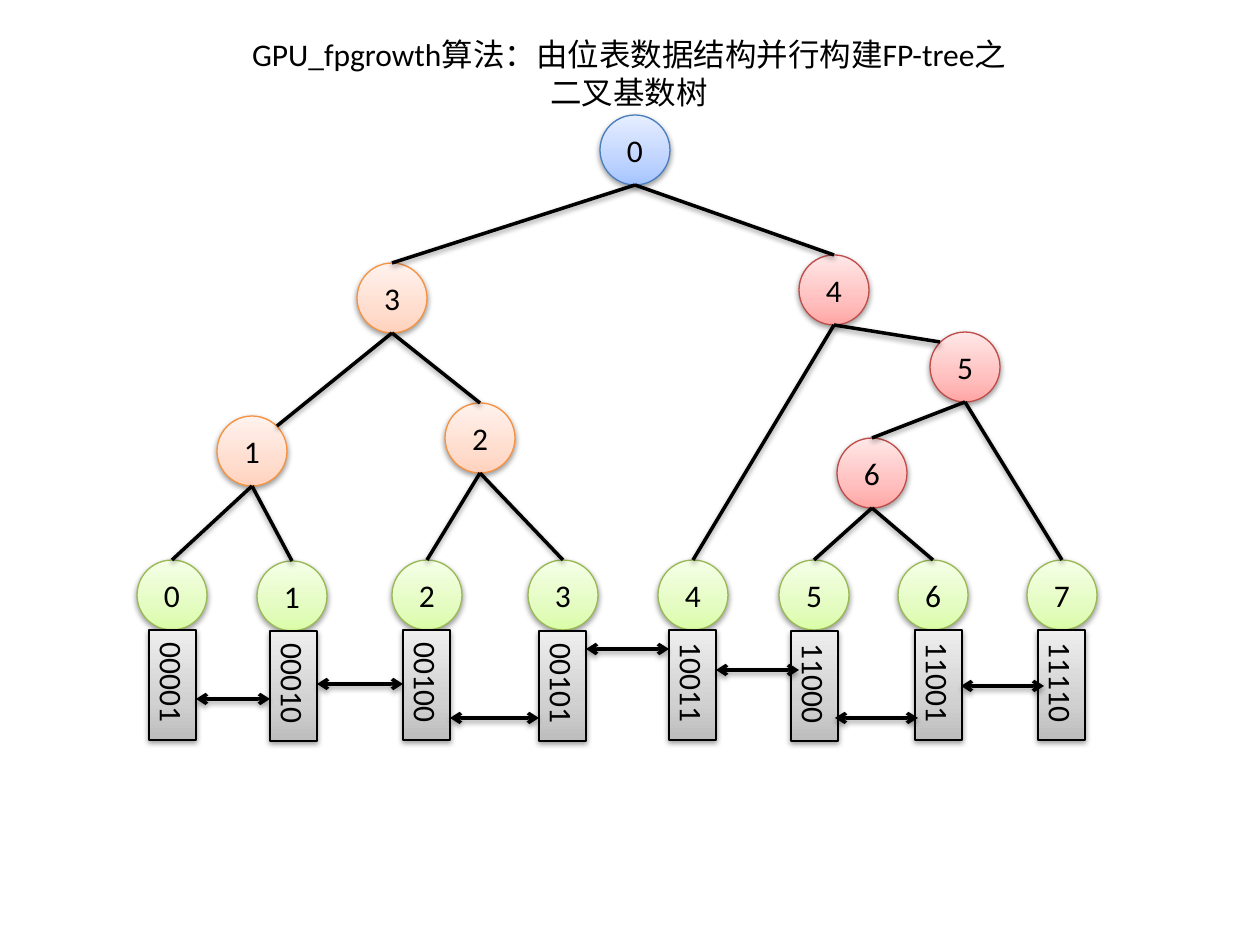
import copy
import pptx
import pptx.util
import pptx.dml.color
import pptx.enum.shapes
import pptx.enum.text
from lxml import etree
from pptx.oxml.ns import qn

PX = 914400 / 126
SHAPE = pptx.enum.shapes.MSO_SHAPE
RGB = pptx.dml.color.RGBColor.from_string

# Gradient stops from bottom to top, then the outline
THEME = {
    "font": "Calibri", "size": 18, "ink": "000000", "edge": 2, "outline": 0.75,
    "root": ("A4C4FF", "BFD4FF", "E6EEFF", "4B7EBC"),
    "left": ("FFD2BD", "FFDED0", "FFF2ED", "F69240"),
    "right": ("FFA6A5", "FFC0BF", "FFE7E7", "BF4C48"),
    "leaf": ("DAFDA7", "E4FCC2", "F5FFE7", "98B955"),
    "code": ("BDBDBD", "D1D1D1", "EEEEEE", "000000"),
}
SIZE = 70

prs = pptx.Presentation()
prs.slide_width, prs.slide_height = int(1260 * PX), int(945 * PX)
s = prs.slides.add_slide(prs.slide_layouts[6])


def finish(sp, text=None):
    """Give a shape or connector its soft shadow, and a text line if any."""
    spPr = sp._element.spPr
    effects = spPr.find(qn("a:effectLst"))
    if effects is None:
        effects = etree.SubElement(spPr, qn("a:effectLst"))
    shadow = etree.SubElement(effects, qn("a:outerShdw"), blurRad="40000",
                              dist="20000", dir="5400000", rotWithShape="0")
    color = etree.SubElement(shadow, qn("a:srgbClr"), val=THEME["ink"])
    etree.SubElement(color, qn("a:alpha"), val="38000")
    if text:
        write(sp.text_frame.paragraphs[0], text)


def write(p, text):
    p.alignment = pptx.enum.text.PP_ALIGN.CENTER
    r = p.add_run()
    r.text = text
    r.font.name = THEME["font"]
    r.font.size = pptx.util.Pt(THEME["size"])
    r.font.color.rgb = RGB(THEME["ink"])


# Title
sp = s.shapes.add_textbox(*(int(v * PX) for v in (54, 29, 1150, 89)))
tf = sp.text_frame
tf.word_wrap = True
write(tf.paragraphs[0], "GPU_fpgrowth算法：由位表数据结构并行构建FP-tree之")
write(tf.add_paragraph(), "二叉基数树")

# Tree nodes: key -> kind, label, left, top
nodes = {
    "root": ("root", "0", 600, 115),
    "n1": ("left", "1", 217, 416),
    "n2": ("left", "2", 445, 403),
    "n3": ("left", "3", 357, 263),
    "n4": ("right", "4", 799, 255),
    "n5": ("right", "5", 930, 332),
    "n6": ("right", "6", 837, 438),
}
for i, x in enumerate((137, 257, 392, 528, 658, 779, 898, 1027)):
    nodes[f"leaf{i}"] = ("leaf", str(i), x, 561 if i == 1 else 560)

# Bit codes below the leaves: code, left, top
codes = [("00001", 149, 630), ("00010", 270, 631), ("00100", 403, 630),
         ("00101", 539, 631), ("10011", 669, 630), ("11000", 791, 631),
         ("11001", 915, 630), ("11110", 1038, 630)]

boxes = [(SHAPE.OVAL, *node, SIZE, SIZE) for node in nodes.values()]
boxes += [(SHAPE.RECTANGLE, "code", *code, 47, 110) for code in codes]
for preset, kind, text, x, y, w, h in boxes:
    sp = s.shapes.add_shape(preset, *(int(v * PX) for v in (x, y, w, h)))
    *stops, outline = THEME[kind]
    sp.fill.gradient()
    sp.fill.gradient_angle = 90
    gsLst = sp._element.spPr.find(qn("a:gradFill")).find(qn("a:gsLst"))
    gsLst.insert(1, copy.deepcopy(gsLst[0]))
    for stop, color, position in zip(sp.fill.gradient_stops, stops, (0, 0.35, 1)):
        stop.color.rgb = RGB(color)
        stop.position = position
    sp.line.color.rgb = RGB(outline)
    sp.line.width = pptx.util.Pt(THEME["outline"])
    sp.shadow.inherit = False
    tf = sp.text_frame
    tf.vertical_anchor = pptx.enum.text.MSO_ANCHOR.MIDDLE
    if kind == "code":
        tf._txBody.bodyPr.set("vert", "eaVert")
    finish(sp, text)

# Edges run from the parent's bottom to the child's top, or to its shoulder
children = {"root": ("n3", "n4"), "n3": ("n1", "n2"), "n4": ("leaf4", "n5"),
            "n5": ("n6", "leaf7"), "n1": ("leaf0", "leaf1"),
            "n2": ("leaf2", "leaf3"), "n6": ("leaf5", "leaf6")}
shoulder = {"n1": (25, 10), "n5": (-25, 10)}
lines = []
for parent, pair in children.items():
    px, py = nodes[parent][2:]
    for child in pair:
        cx, cy = nodes[child][2:]
        dx, dy = shoulder.get(child, (0, 0))
        lines.append((px + SIZE // 2, py + SIZE,
                      cx + SIZE // 2 + dx, cy + dy, False))

# Double arrows between neighbouring codes: left, right, height
for x1, x2, y in ((196, 270, 699), (317, 403, 684), (450, 539, 718),
                  (586, 669, 649), (716, 799, 670), (835, 918, 718),
                  (961, 1044, 686)):
    lines.append((x1, y, x2, y, True))

for *ends, arrows in lines:
    cn = s.shapes.add_connector(pptx.enum.shapes.MSO_CONNECTOR.STRAIGHT,
                                *(int(v * PX) for v in ends))
    cn.line.color.rgb = RGB(THEME["ink"])
    cn.line.width = pptx.util.Pt(THEME["edge"])
    if arrows:
        for tag in ("a:headEnd", "a:tailEnd"):
            etree.SubElement(cn._element.spPr.find(qn("a:ln")), qn(tag), type="arrow")
    finish(cn)

prs.save("out.pptx")
